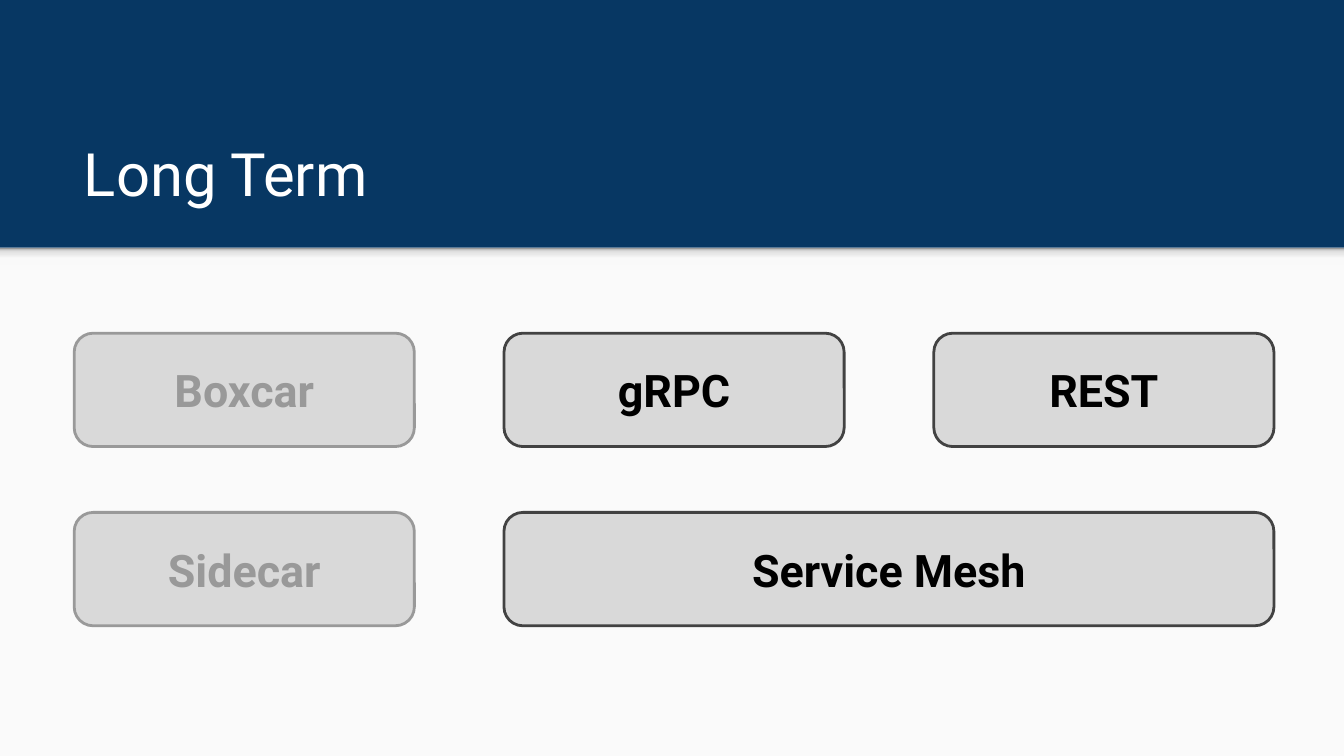
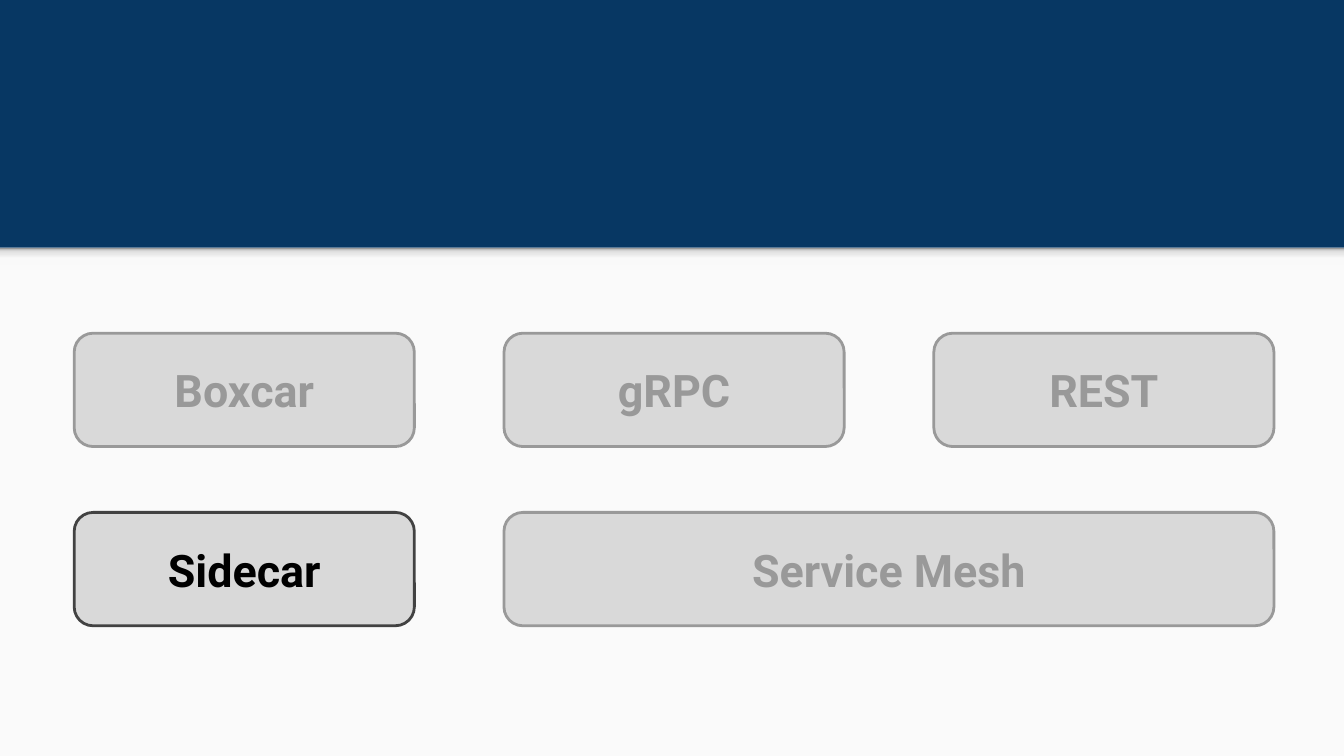
from lxml.etree import SubElement
from pptx import Presentation
from pptx.dml.color import RGBColor
from pptx.enum.shapes import MSO_SHAPE
from pptx.enum.text import MSO_ANCHOR, PP_ALIGN
from pptx.oxml.ns import qn
from pptx.util import Emu, Pt

PX = 9525  # EMU per px, 96 px to the inch
WIDTH, HEIGHT = 960, 540
BAND_HEIGHT = 177
SHADE_HEIGHT = 12

FONT = "Roboto"
NAVY = RGBColor(0x07, 0x37, 0x63)
PAPER = RGBColor(0xFA, 0xFA, 0xFA)
WHITE = RGBColor(0xFF, 0xFF, 0xFF)
BLACK = RGBColor(0x00, 0x00, 0x00)
BOX_FILL = RGBColor(0xD9, 0xD9, 0xD9)
ACTIVE_LINE = RGBColor(0x42, 0x42, 0x42)
MUTED = RGBColor(0x99, 0x99, 0x99)
# Position in percent and colour, from the bottom of the shade to its top
SHADE_STOPS = [
    (0, RGBColor(0xF9, 0xF9, 0xF9)),
    (36, RGBColor(0xF9, 0xF9, 0xF9)),
    (80, RGBColor(0xDE, 0xDE, 0xDE)),
    (100, RGBColor(0x99, 0x99, 0x99)),
]

BOX_WIDTH, BOX_HEIGHT = 243, 81
GRID_LEFT, GRID_TOP = 53, 238
COLUMN_STEP, ROW_STEP = 307, 128
# Label, column, row, columns spanned
BOXES = [
    ("Boxcar", 0, 0, 1),
    ("gRPC", 1, 0, 1),
    ("REST", 2, 0, 1),
    ("Sidecar", 0, 1, 1),
    ("Service Mesh", 1, 1, 2),
]
# Title and the boxes that stand out
SLIDES = [
    ("Long Term", {"gRPC", "REST", "Service Mesh"}),
    ("", {"Sidecar"}),
]


def add_plain_shape(slide, kind, left, top, width, height):
    """Add a shape without shadow or outline, measured in px."""
    shape = slide.shapes.add_shape(kind, *(Emu(n * PX) for n in (left, top, width, height)))
    shape.shadow.inherit = False
    shape.line.fill.background()
    return shape


def write_text(shape, text, size, color, anchor, alignment, bold=False):
    frame = shape.text_frame
    frame.word_wrap = True
    frame.vertical_anchor = anchor
    frame.margin_left = frame.margin_right = Emu(10 * PX)
    frame.margin_top = frame.margin_bottom = Emu(10 * PX)
    paragraph = frame.paragraphs[0]
    paragraph.text = text
    paragraph.alignment = alignment
    paragraph.font.name = FONT
    paragraph.font.size = Pt(size)
    paragraph.font.bold = bold
    paragraph.font.color.rgb = color


presentation = Presentation()
presentation.slide_width = Emu(WIDTH * PX)
presentation.slide_height = Emu(HEIGHT * PX)

for title, active_labels in SLIDES:
    slide = presentation.slides.add_slide(presentation.slide_layouts[6])
    slide.background.fill.solid()
    slide.background.fill.fore_color.rgb = NAVY

    paper = add_plain_shape(slide, MSO_SHAPE.RECTANGLE, 0, BAND_HEIGHT, WIDTH, HEIGHT - BAND_HEIGHT)
    paper.fill.solid()
    paper.fill.fore_color.rgb = PAPER

    shade = add_plain_shape(slide, MSO_SHAPE.RECTANGLE, 0, BAND_HEIGHT, WIDTH, SHADE_HEIGHT)
    shade.fill.gradient()
    shade.fill.gradient_angle = 90
    stop_list = next(shade.element.iter(qn("a:gsLst")))
    for stop in list(stop_list):
        stop_list.remove(stop)
    for percent, color in SHADE_STOPS:
        stop = SubElement(stop_list, qn("a:gs"), pos=str(percent * 1000))
        SubElement(stop, qn("a:srgbClr"), val=str(color))

    if title:
        title_box = slide.shapes.add_textbox(*(Emu(n * PX) for n in (50, 78, 863, 81)))
        write_text(title_box, title, 32, WHITE, MSO_ANCHOR.BOTTOM, PP_ALIGN.LEFT)

    for label, column, row, span in BOXES:
        active = label in active_labels
        box = add_plain_shape(
            slide,
            MSO_SHAPE.ROUNDED_RECTANGLE,
            GRID_LEFT + column * COLUMN_STEP,
            GRID_TOP + row * ROW_STEP,
            BOX_WIDTH + (span - 1) * COLUMN_STEP,
            BOX_HEIGHT,
        )
        box.fill.solid()
        box.fill.fore_color.rgb = BOX_FILL
        box.line.color.rgb = ACTIVE_LINE if active else MUTED
        box.line.width = Pt(1.5)
        text_color = BLACK if active else MUTED
        write_text(box, label, 24, text_color, MSO_ANCHOR.MIDDLE, PP_ALIGN.CENTER, bold=True)

presentation.save("out.pptx")
